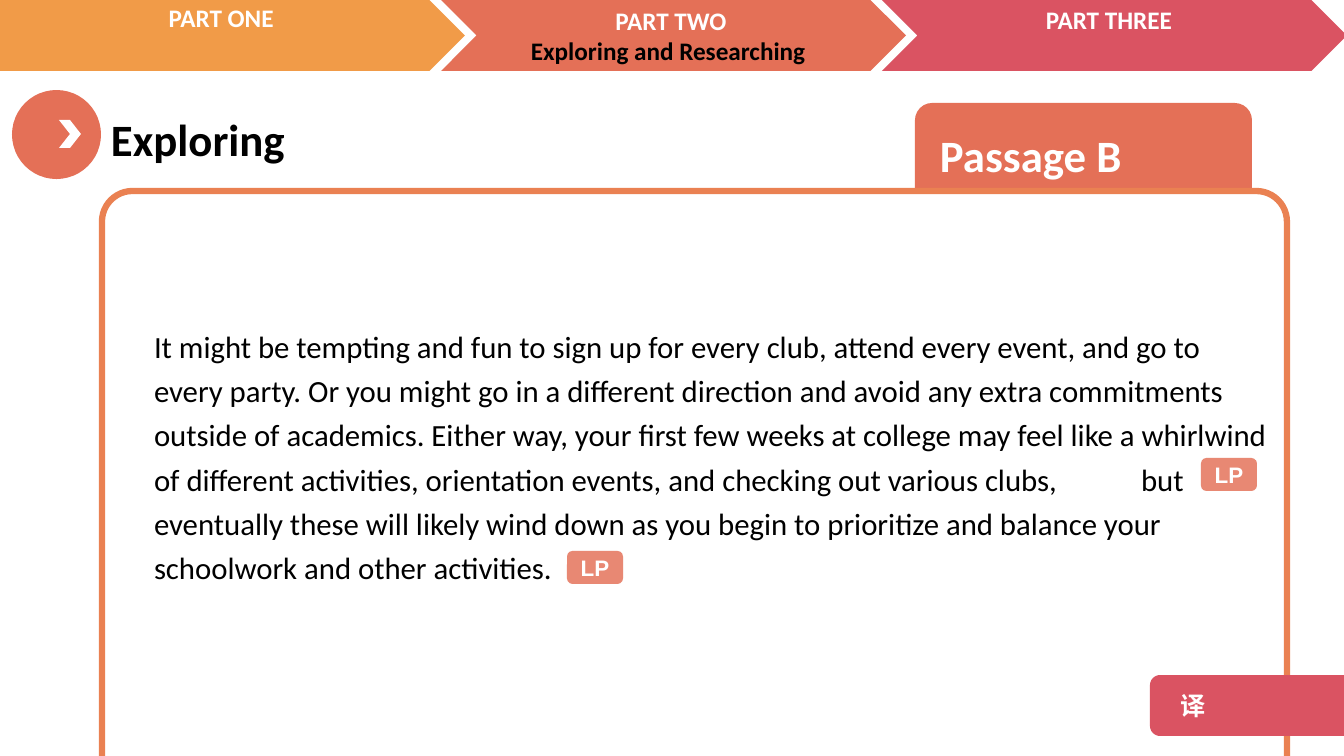
from lxml import etree
from pptx import Presentation
from pptx.dml.color import RGBColor
from pptx.enum.shapes import MSO_SHAPE
from pptx.enum.text import MSO_ANCHOR, MSO_AUTO_SIZE, PP_ALIGN
from pptx.oxml.ns import qn
from pptx.util import Emu, Pt

CHEVRON, OVAL, ROUNDED = MSO_SHAPE.CHEVRON, MSO_SHAPE.OVAL, MSO_SHAPE.ROUNDED_RECTANGLE
TOP, MIDDLE = MSO_ANCHOR.TOP, MSO_ANCHOR.MIDDLE
LEFT, CENTER = PP_ALIGN.LEFT, PP_ALIGN.CENTER
NO_AUTOFIT = MSO_AUTO_SIZE.NONE
PX = 914400 / 100.8


class Theme:
    orange, coral, rose, border = "F19B48", "E47057", "DA5362", "EA8152"
    white, black = "FFFFFF", "000000"
    heading, body, label, badge = 32, 22, 18, 16
    main_font, badge_font, chinese_font = "Calibri", "Arial", "Noto Sans CJK SC"


def add_block(kind, box, color):
    block = slide.shapes.add_shape(kind, *(Emu(round(v * PX)) for v in box))
    block.shadow.inherit = False
    block.fill.solid()
    block.fill.fore_color.rgb = RGBColor.from_string(color)
    block.line.fill.background()
    return block


def write(holder, lines, size, face=Theme.main_font, align=LEFT, anchor=TOP, inset=(10, 5), bold=True):
    frame = holder.text_frame
    frame.word_wrap = True
    frame.auto_size = NO_AUTOFIT
    frame.vertical_anchor = anchor
    frame.margin_left = frame.margin_right = Emu(round(inset[0] * PX))
    frame.margin_top = frame.margin_bottom = Emu(round(inset[1] * PX))
    frame.text = "\n".join(text for text, color in lines)
    for paragraph, (text, color) in zip(frame.paragraphs, lines):
        paragraph.alignment = align
        paragraph.font.size = Pt(size)
        paragraph.font.bold = bold
        paragraph.font.color.rgb = RGBColor.from_string(color)
        paragraph.font.name = face
    return frame.paragraphs[0]


prs = Presentation()
prs.slide_width, prs.slide_height = Emu(round(1344 * PX)), Emu(round(756 * PX))
slide = prs.slides.add_slide(prs.slide_layouts[5])

heading = slide.shapes.title
heading.left, heading.top, heading.width, heading.height = (
    Emu(round(v * PX)) for v in (101, 107, 489, 65))
write(heading, [("Exploring", Theme.black)], Theme.heading)

parts = [
    ((-61, 0, 526, 71), Theme.orange, (-6, -3, 460, 40), [("PART ONE ", Theme.white)]),
    ((441, 0, 465, 71), Theme.coral, (441, 0, 460, 71),
     [("PART TWO", Theme.white), ("Exploring and Researching ", Theme.black)]),
    ((882, 0, 465, 71), Theme.rose, (879, -1, 460, 40), [("PART THREE", Theme.white)]),
]
for arrow_box, color, label_box, lines in parts:
    add_block(CHEVRON, arrow_box, color)
    part_label = slide.shapes.add_textbox(*(Emu(round(v * PX)) for v in label_box))
    write(part_label, lines, Theme.label, align=CENTER)

add_block(OVAL, (12, 90, 89, 89), Theme.coral)
add_block(CHEVRON, (59, 120, 22, 28), Theme.white)

passage_tab = add_block(ROUNDED, (915, 103, 337, 103), Theme.coral)
write(passage_tab, [("Passage B", Theme.white)], Theme.heading, anchor=MIDDLE, inset=(20, 5))

panel = add_block(ROUNDED, (102, 191, 1185, 650), Theme.white)
panel.adjustments[0] = 0.047
panel.line.color.rgb = RGBColor.from_string(Theme.border)
panel.line.width = Pt(4.5)

passage = slide.shapes.add_textbox(*(Emu(round(v * PX)) for v in (144, 315, 1134, 281)))
passage_text = (
    "It might be tempting and fun to sign up for every club, attend every event, and go to "
    "every party. Or you might go in a different direction and avoid any extra commitments "
    "outside of academics. Either way, your first few weeks at college may feel like a whirlwind "
    "of different activities, orientation events, and checking out various clubs,\tbut "
    "eventually these will likely wind down as you begin to prioritize and balance your "
    "schoolwork and other activities."
)
passage_body = write(passage, [(passage_text, Theme.black)], Theme.body, bold=False)
passage_body.line_spacing = 1.2
tabs = etree.Element(qn("a:tabLst"))
etree.SubElement(tabs, qn("a:tab"), pos=str(round(987 * PX)), algn="l")
passage_body._p.pPr.find(qn("a:defRPr")).addprevious(tabs)

translation = add_block(ROUNDED, (1150, 675, 215, 61), Theme.rose)
translation_label = write(translation, [("译", Theme.white)], Theme.label,
                          Theme.chinese_font, anchor=MIDDLE, inset=(28, 5))
translation_font = translation_label._p.pPr.find(qn("a:defRPr"))
etree.SubElement(translation_font, qn("a:ea"), typeface=Theme.chinese_font)

for left, top in ((1201, 458), (567, 551)):
    language_point = add_block(ROUNDED, (left, top, 56, 33), Theme.coral)
    tint = language_point._element.spPr.find(qn("a:solidFill"))[0]
    etree.SubElement(tint, qn("a:alpha"), val="83000")
    write(language_point, [("LP", Theme.white)], Theme.badge, Theme.badge_font,
          CENTER, MIDDLE, (0, 0))

prs.save("out.pptx")
